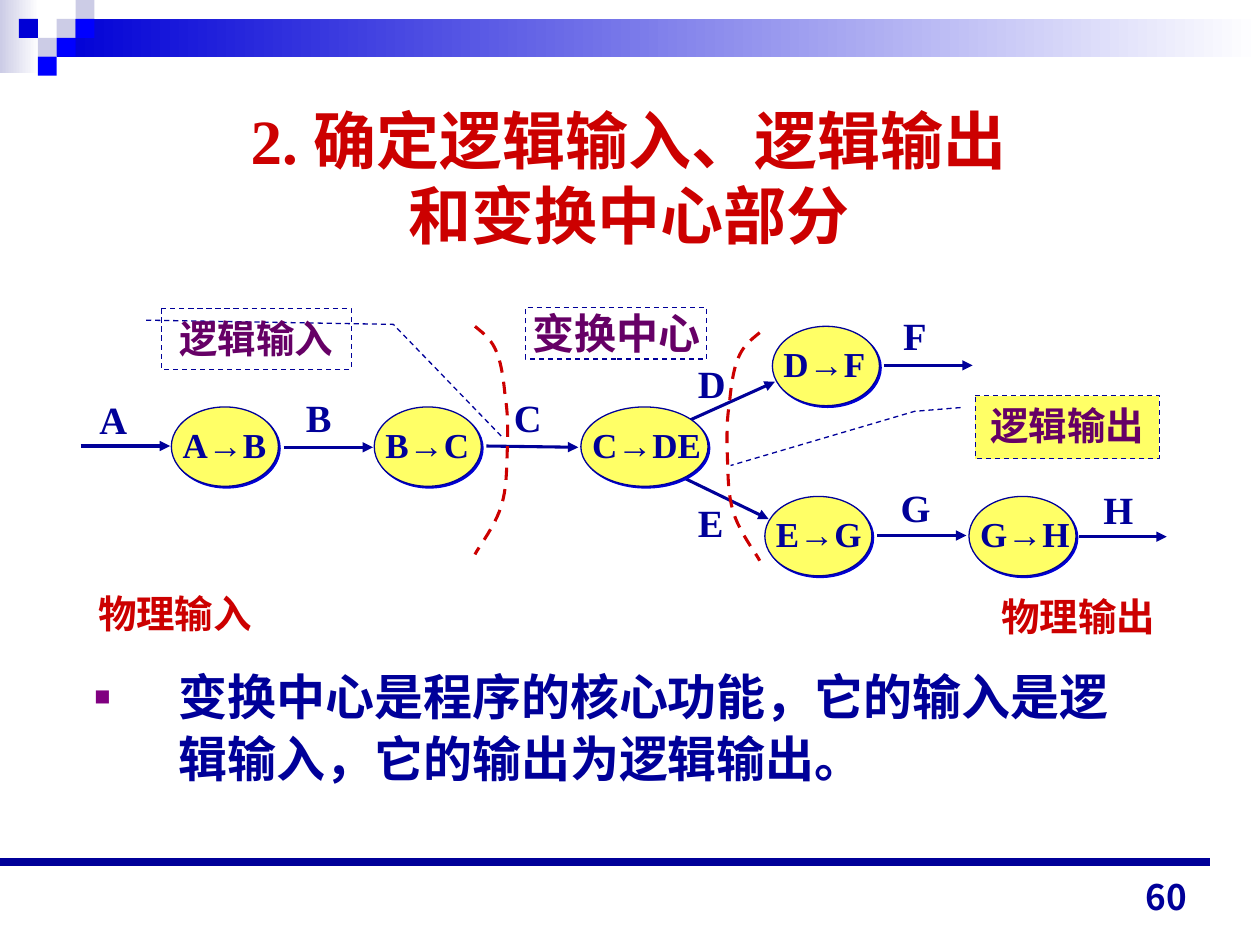
from dataclasses import dataclass
from itertools import groupby
from lxml.etree import SubElement as Sub
from pptx import Presentation
from pptx.dml.color import RGBColor as Rgb
from pptx.enum.dml import MSO_LINE as Dash
from pptx.enum.lang import MSO_LANGUAGE_ID as Lang
from pptx.enum.shapes import MSO_CONNECTOR as Conn, MSO_SHAPE as Kind
from pptx.enum.text import (MSO_ANCHOR as Anchor, MSO_AUTO_SIZE as Auto,
                            PP_ALIGN as Align)
from pptx.oxml.ns import qn
from pptx.util import Inches, Pt


@dataclass(frozen=True)
class Theme:
    navy: str = "000099"
    red: str = "CC0000"
    plum: str = "660066"
    mark: str = "800080"
    lemon: str = "FFFF66"
    white: str = "FFFFFF"
    pale: str = "CCCCE6"
    deep: str = "0000D6"
    blue: str = "0000FF"
    serif: str = "Times New Roman"
    sans: str = "Arial"
    hans: str = "Noto Sans CJK JP"
    title: int = 36
    body: int = 28
    head: int = 24
    label: int = 22
    small: int = 20
    thin: float = 0.75
    mid: float = 1.75
    thick: float = 4.5


def write(frame, text, size, color, face, east, sign, align=Align.LEFT,
          anchor=Anchor.TOP, wrap=True, inset=(0.1, 0.05), bullet=None,
          space=None):
    frame.word_wrap = wrap
    frame.auto_size = Auto.NONE if wrap else Auto.SHAPE_TO_FIT_TEXT
    frame.vertical_anchor = anchor
    frame.margin_left = frame.margin_right = Inches(inset[0])
    frame.margin_top = frame.margin_bottom = Inches(inset[1])
    para = frame.paragraphs[0]
    para.alignment = align
    if bullet:
        prop = para._p.get_or_add_pPr()
        prop.set("marL", str(Inches(0.67)))
        prop.set("indent", str(-Inches(0.67)))
        Sub(Sub(prop, qn("a:buClr")), qn("a:srgbClr"), val=bullet)
        Sub(prop, qn("a:buSzPct"), val="55000")
        Sub(prop, qn("a:buFont"), typeface=sign)
        Sub(prop, qn("a:buChar"), char="■")
    if space:
        para.line_spacing = space
    for row, line in enumerate(text.split("\n")):
        if row:
            para.add_line_break()
        for arrow, part in groupby(line, lambda char: char == "→"):
            run = para.add_run()
            run.text = "".join(part)
            font = run.font
            font.size, font.bold = Pt(size), True
            font.color.rgb = Rgb.from_string(color)
            font.name = sign if arrow else face
            font.language_id = Lang.SIMPLIFIED_CHINESE
            Sub(run._r.get_or_add_rPr(), qn("a:ea"),
                typeface=sign if arrow else east)


class Board:
    def __init__(self, slide, theme):
        self.shapes = slide.shapes
        self.theme = theme

    def put(self, frame, text, size, color, face=None, **form):
        look = self.theme
        write(frame, text, size, color, face or look.serif, look.hans,
              look.sans, **form)

    def text(self, spot, text, size, color, **form):
        box = self.shapes.add_textbox(*map(Inches, spot))
        self.put(box.text_frame, text, size, color, **form)

    def style(self, shape, fill=None, line=None, width=None, dash=False):
        shape.shadow.inherit = False
        if fill:
            shape.fill.solid()
            shape.fill.fore_color.rgb = Rgb.from_string(fill)
        else:
            shape.fill.background()
        if line:
            shape.line.color.rgb = Rgb.from_string(line)
            shape.line.width = Pt(width)
            if dash:
                shape.line.dash_style = Dash.DASH
        else:
            shape.line.fill.background()

    def shape(self, kind, spot, **form):
        shape = self.shapes.add_shape(kind, *map(Inches, spot))
        self.style(shape, **form)
        return shape

    def fade(self, spot, color):
        fill = self.shape(Kind.RECTANGLE, spot).fill
        fill.gradient()
        fill.gradient_angle = 180
        for stop, tone in zip(fill.gradient_stops, (self.theme.white, color)):
            stop.color.rgb = Rgb.from_string(tone)

    def line(self, start, end, width, arrow=True):
        line = self.shapes.add_connector(
            Conn.STRAIGHT, *map(Inches, (*start, *end)))
        line.line.color.rgb = Rgb.from_string(self.theme.navy)
        line.line.width = Pt(width)
        if arrow:
            Sub(line.line._get_or_add_ln(), qn("a:tailEnd"), type="triangle")
        Sub(line._element.spPr, qn("a:effectLst"))

    def node(self, x, y, text, wide, width=0.85):
        look = self.theme
        oval = self.shape(Kind.OVAL, (x, y, width, 0.63), fill=look.lemon,
                          line=look.navy, width=look.thin)
        glow = Sub(oval._element.spPr.find(qn("a:effectLst")),
                   qn("a:outerShdw"), dist=str(Pt(1.4)), dir="2700000",
                   algn="ctr", rotWithShape="0")
        Sub(glow, qn("a:srgbClr"), val=look.deep)
        self.text((x - 0.01, y + 0.08, wide, 0.44), text, look.small,
                  look.navy, wrap=False)

    def curve(self, start, parts):
        dots, last = [], start
        for part in parts:
            knots = (last, *part)
            for step in range(1, 11):
                t = step / 10
                rate = ((1 - t) ** 3, 3 * t * (1 - t) ** 2,
                        3 * t * t * (1 - t), t ** 3)
                dots.append(tuple(
                    Inches(sum(r * k[axis] for r, k in zip(rate, knots)))
                    for axis in (0, 1)))
            last = part[-1]
        form = self.shapes.build_freeform(*map(Inches, start), scale=1.0)
        form.add_line_segments(dots, close=False)
        self.style(form.convert_to_shape(), line=self.theme.red,
                   width=self.theme.mid, dash=True)

    def frame(self, kind, spot, text, size, adjust=(), fill=None, **form):
        look = self.theme
        box = self.shape(kind, spot, fill=fill, line=look.navy,
                         width=look.thin, dash=True)
        for slot, value in enumerate(adjust):
            box.adjustments[slot] = value
        self.put(box.text_frame, text, size, look.plum, align=Align.CENTER,
                 **form)


def main():
    deck = Presentation()
    deck.slide_width, deck.slide_height = Inches(10), Inches(7.5)
    look = Theme()
    board = Board(deck.slides.add_slide(deck.slide_layouts[6]), look)

    board.fade((0, 0, 0.31, 0.58), look.pale)
    board.fade((0.45, 0.15, 9.55, 0.3), look.deep)
    for col, row, tone in [(3, 1, look.pale), (4, 0, look.pale),
                           (4, 1, look.blue), (2, 2, look.pale),
                           (1, 1, look.deep), (3, 2, look.blue),
                           (2, 3, look.blue)]:
        board.shape(Kind.RECTANGLE, (col * 0.15, row * 0.15, 0.15, 0.15),
                    fill=tone)
    board.line((0, 6.84), (9.6, 6.84), look.thick, arrow=False)

    board.text((0.74, 0.69, 8.5, 1.43),
               "2. 确定逻辑输入、逻辑输出\n和变换中心部分", look.title,
               look.red, align=Align.CENTER, anchor=Anchor.MIDDLE)
    board.text((0.65, 5.22, 8.5, 1.25),
               "变换中心是程序的核心功能，它的输入是逻辑输入，它的输出为逻辑输出。",
               look.body, look.navy, bullet=look.mark, space=1.05)

    board.frame(Kind.RECTANGLE, (4.17, 2.44, 1.44, 0.41), "变换中心",
                look.head, inset=(0, 0))
    for start, end in [((0.64, 3.54), (1.35, 3.54)),
                       ((2.25, 3.55), (2.96, 3.55)),
                       ((3.86, 3.54), (4.59, 3.55)),
                       ((6.96, 4.25), (7.67, 4.25)),
                       ((8.56, 4.26), (9.26, 4.26)),
                       ((7.02, 2.9), (7.72, 2.9)),
                       ((5.44, 3.35), (6.15, 3.03)),
                       ((5.4, 3.78), (6.1, 4.12))]:
        board.line(start, end, look.mid)
    for x, y, text, wide in [(1.36, 3.23, "A→B", 0.88),
                             (2.97, 3.23, "B→C", 0.88),
                             (6.07, 3.94, "E→G", 0.9),
                             (7.69, 3.94, "G→H", 0.93),
                             (6.13, 2.59, "D→F", 0.87)]:
        board.node(x, y, text, wide)
    board.node(4.61, 3.23, "C→DE", 1.08, width=1.01)

    for x, y, text, wide, tone in [
            (0.69, 3.09, "A", 0.42, look.navy),
            (2.33, 3.08, "B", 0.4, look.navy),
            (3.98, 3.08, "C", 0.42, look.navy),
            (5.44, 2.81, "D", 0.42, look.navy),
            (5.44, 3.91, "E", 0.4, look.navy),
            (7.07, 2.43, "F", 0.38, look.navy),
            (7.05, 3.79, "G", 0.44, look.navy),
            (8.66, 3.81, "H", 0.44, look.navy),
            (0.68, 4.63, "物理输入", 1.42, look.red),
            (7.85, 4.66, "物理输出", 1.42, look.red)]:
        board.text((x, y, wide, 0.47), text, look.label, tone, wrap=False)

    arc = [((3.83, 2.64), (3.9, 2.69), (3.94, 2.79)),
           ((3.98, 2.88), (4, 3.03), (4.01, 3.15)),
           ((4.03, 3.27), (4.03, 3.36), (4.03, 3.5)),
           ((4.02, 3.65), (4.03, 3.86), (3.98, 4.01)),
           ((3.94, 4.16), (3.8, 4.34), (3.77, 4.4))]
    board.curve((3.77, 2.59), arc)
    board.curve((6.03, 2.64), [[(9.8 - x, y + 0.05) for x, y in part]
                               for part in arc])
    board.frame(Kind.LINE_CALLOUT_2, (1.28, 2.45, 1.51, 0.48), "逻辑输入",
                look.label, adjust=(0.19, -0.08, 0.26, 1.22, 2.15, 1.8))
    board.frame(Kind.LINE_CALLOUT_2, (7.74, 3.14, 1.46, 0.5), "逻辑输出",
                look.label, adjust=(0.19, -0.08, 0.25, -0.33, 1.11, -1.33),
                fill=look.lemon)
    board.text((7.19, 6.83, 2.33, 0.5), "60", look.small, look.navy,
               face=look.hans, align=Align.RIGHT, anchor=Anchor.BOTTOM)
    deck.save("out.pptx")


if __name__ == "__main__":
    main()
